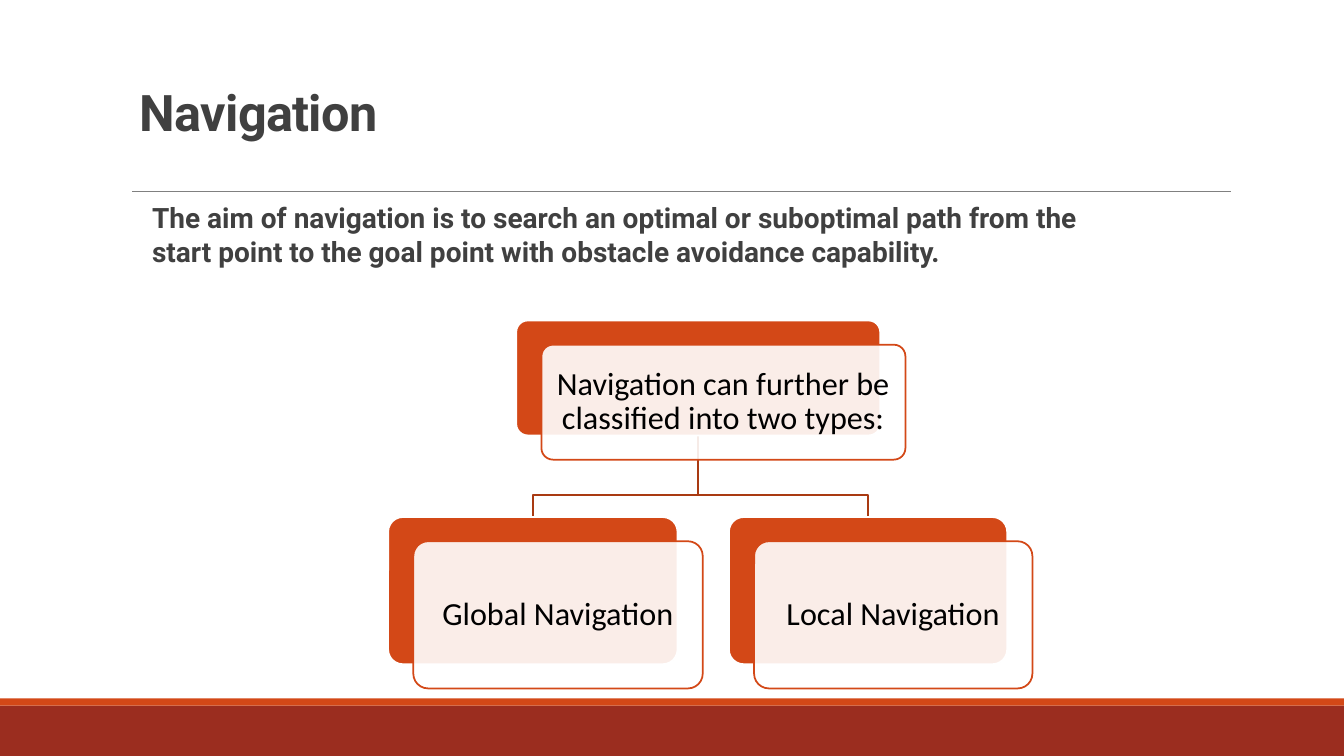
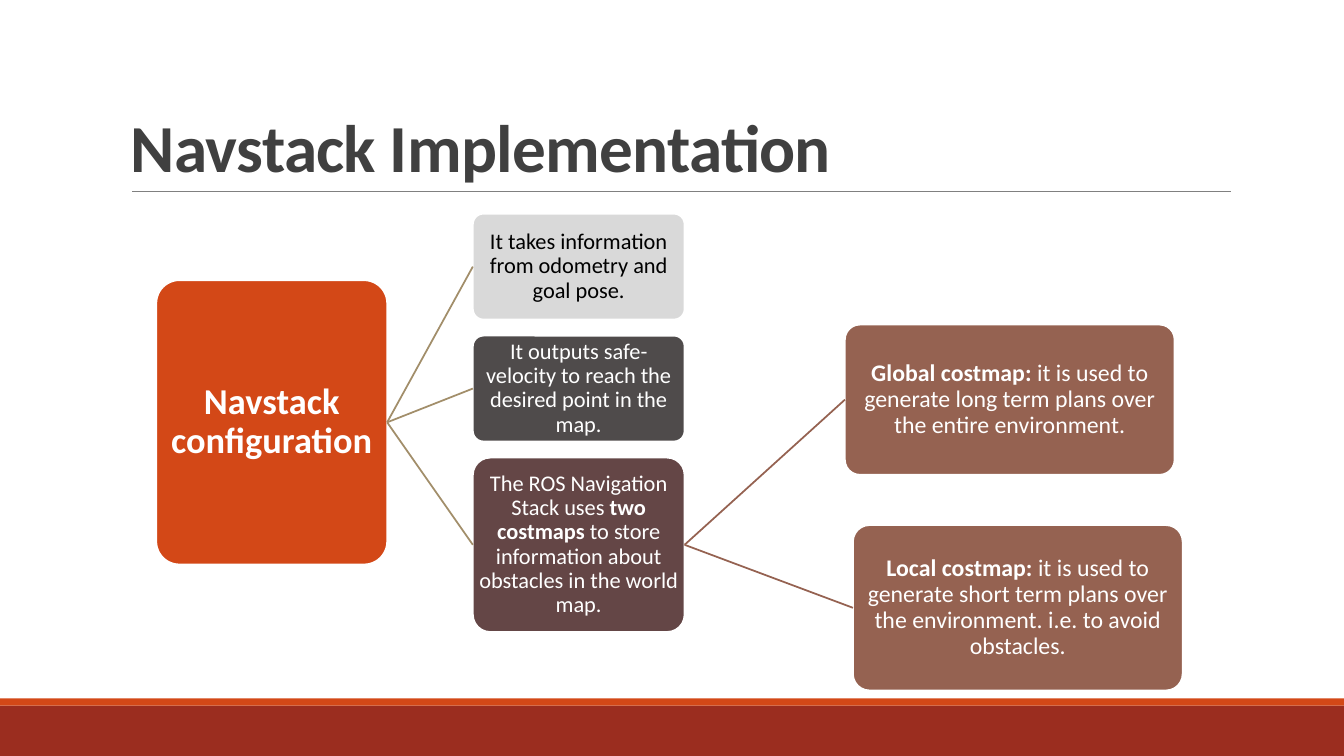
import pptx
import pptx.dml.color
import pptx.enum.shapes
import pptx.enum.text
import pptx.oxml.ns
import pptx.util
from lxml import etree
from pptx.util import Inches

COLORS = {
    "band": "9B2D1F", "accent": "D34817", "rule": "808080", "heading": "404040",
    "white": "FFFFFF", "black": "000000", "elbow": "A93A12", "branch": "A28E6A",
    "light": "D9D9D9", "dark": "4F4B4B", "plum": "644646", "brown": "956251",
}
SHAPE = pptx.enum.shapes.MSO_SHAPE
ANCHOR = pptx.enum.text.MSO_ANCHOR
ALIGN = pptx.enum.text.PP_ALIGN
LEFT, RIGHT = 1, 3


def color(name):
    return pptx.dml.color.RGBColor.from_string(COLORS[name])


def add_xml(parent, tag, **attributes):
    return etree.SubElement(parent, pptx.oxml.ns.qn(tag), attributes)


class Deck:
    """Holds the presentation, its style and the current slide."""

    def __init__(self):
        self.presentation = pptx.Presentation()
        self.presentation.slide_width = Inches(13.33)
        self.presentation.slide_height = Inches(7.5)
        self.slide = None

    def new_slide(self):
        """Start a slide with the shared bands and title rule."""
        self.slide = self.presentation.slides.add_slide(self.presentation.slide_layouts[6])
        self.box(0, 7, 13.33, 0.5, "band", shape_type=SHAPE.RECTANGLE, line=None)
        self.box(0, 6.93, 13.33, 0.07, "accent", shape_type=SHAPE.RECTANGLE, line=None)
        rule = self.slide.shapes.add_connector(
            pptx.enum.shapes.MSO_CONNECTOR.STRAIGHT,
            Inches(1.31), Inches(1.9), Inches(12.21), Inches(1.9))
        self.style_connector(rule, "rule", 0.5)

    def style_connector(self, connector, line, width=1.25):
        connector.line.color.rgb = color(line)
        connector.line.width = pptx.util.Pt(width)
        add_xml(connector._element.spPr, "a:effectLst")

    def set_text(self, shape, runs, size, text_color, font="Calibri", anchor=ANCHOR.MIDDLE,
                 align=ALIGN.CENTER, spacing=0.9, inset=None):
        """Fill a shape with one paragraph; runs is a list of (text, bold)."""
        frame = shape.text_frame
        frame.word_wrap = True
        frame.vertical_anchor = anchor
        if inset is not None:
            frame.margin_left = frame.margin_right = Inches(inset)
            frame.margin_top = frame.margin_bottom = Inches(inset)
        paragraph = frame.paragraphs[0]
        paragraph.alignment = align
        paragraph.line_spacing = spacing
        for text, bold in runs:
            run = paragraph.add_run()
            run.text = text
            run.font.name = font
            run.font.size = pptx.util.Pt(size)
            run.font.bold = bold
            run.font.color.rgb = color(text_color)
        return paragraph

    def text(self, left, top, width, height, text, size, font,
             anchor=ANCHOR.TOP, spacing=1.0):
        """Bold left-aligned text in the heading colour."""
        text_box = self.slide.shapes.add_textbox(
            Inches(left), Inches(top), Inches(width), Inches(height))
        return self.set_text(text_box, [(text, True)], size, "heading", font,
                             anchor, ALIGN.LEFT, spacing)

    def title(self, left, top, width, height, text, size, font, anchor):
        paragraph = self.text(left, top, width, height, text, size, font, anchor, 0.85)
        paragraph.runs[0].font._element.set("spc", "-50")

    def box(self, left, top, width, height, fill, line="white",
            shape_type=SHAPE.ROUNDED_RECTANGLE, alpha=None):
        shape = self.slide.shapes.add_shape(
            shape_type, Inches(left), Inches(top), Inches(width), Inches(height))
        shape.shadow.inherit = False
        shape.fill.solid()
        shape.fill.fore_color.rgb = color(fill)
        if alpha:
            fill_color = shape._element.spPr.find(".//" + pptx.oxml.ns.qn("a:srgbClr"))
            add_xml(fill_color, "a:alpha", val=str(alpha * 1000))
        if line:
            shape.line.color.rgb = color(line)
            shape.line.width = pptx.util.Pt(1.25)
        else:
            shape.line.fill.background()
        if shape_type == SHAPE.ROUNDED_RECTANGLE:
            shape.adjustments[0] = 0.1
        return shape

    def layered_card(self, left, top, width, height, text):
        """A filled box with a translucent text box set off over it."""
        self.box(left, top, width, height, "accent")
        front = self.box(left + 0.25, top + 0.24, width, height, "white", "accent", alpha=90)
        self.set_text(front, [(text, False)], 23, "black", inset=0.1)

    def elbow(self, x, y, middle_y, end_x, end_y):
        """An open line going down, across and down."""
        builder = self.slide.shapes.build_freeform(Inches(x), Inches(y))
        corners = [(x, middle_y), (end_x, middle_y), (end_x, end_y)]
        builder.add_line_segments(
            [(Inches(corner_x), Inches(corner_y)) for corner_x, corner_y in corners], close=False)
        shape = builder.convert_to_shape()
        shape.shadow.inherit = False
        shape.fill.background()
        shape.line.color.rgb = color("elbow")
        shape.line.width = pptx.util.Pt(1.25)

    def node(self, left, top, width, height, fill, runs, size, text_color="white"):
        shape = self.box(left, top, width, height, fill)
        self.set_text(shape, runs, size, text_color, inset=0.01)
        return shape

    def join(self, parent, child, line):
        """A straight line from the parent's right side to the child's left side."""
        connector = self.slide.shapes.add_connector(
            pptx.enum.shapes.MSO_CONNECTOR.STRAIGHT, 0, 0, 0, 0)
        connector.begin_connect(parent, RIGHT)
        connector.end_connect(child, LEFT)
        self.style_connector(connector, line)


def build_navigation(deck):
    deck.new_slide()
    deck.title(1.29, 0.45, 10.3, 1.4, "Navigation", 36, "Roboto", ANCHOR.MIDDLE)
    deck.text(1.41, 1.94, 9.9, 1.7,
              "The aim of navigation is to search an optimal or suboptimal path from the "
              "start point to the goal point with obstacle avoidance capability.", 20, "Roboto")

    # Hierarchy: lines first, so that the cards lie over them
    types = [(3.85, 2.87, "Global Navigation"), (7.23, 2.76, "Local Navigation")]
    for left, width, _ in types:
        deck.elbow(6.92, 4.32, 4.91, left + width / 2, 5.13)
    deck.layered_card(5.12, 3.18, 3.61, 1.14,
                      "Navigation can further be classified into two types:")
    for left, width, text in types:
        deck.layered_card(left, 5.13, width, 1.46, text)


def build_navstack(deck):
    deck.new_slide()
    deck.title(1.2, 0.31, 11, 1.59, "Navstack Implementation", 48, "Calibri", ANCHOR.BOTTOM)

    # Root and its three branches
    root = deck.node(1.55, 2.78, 2.29, 2.82, "accent", [("Navstack configuration", True)], 26)
    branches = [
        (1.05, "light", "black", [("It takes information from odometry and goal pose.", False)]),
        (1.05, "dark", "white",
         [("It outputs safe-velocity to reach the desired point in the map.", False)]),
        (1.73, "plum", "white",
         [("The ROS Navigation Stack uses ", False), ("two costmaps", True),
          (" to store information about obstacles in the world map.", False)]),
    ]
    top = 2.12
    for height, fill, text_color, runs in branches:
        branch = deck.node(4.69, top, 2.1, height, fill, runs, 16, text_color)
        deck.join(root, branch, "branch")
        top += height + 0.16

    # The two costmaps hang on the last branch
    costmaps = [
        (8.38, 3.22, 1.49, "Global costmap:",
         " it is used to generate long term plans over the entire environment."),
        (8.46, 5.21, 1.64, "Local costmap:",
         " it is used to generate short term plans over the environment. "
         "i.e. to avoid obstacles."),
    ]
    for left, top, height, name, use in costmaps:
        costmap = deck.node(left, top, 3.27, height, "brown", [(name, True), (use, False)], 17)
        deck.join(branch, costmap, "brown")


def main():
    deck = Deck()
    build_navigation(deck)
    build_navstack(deck)
    deck.presentation.save("out.pptx")


if __name__ == "__main__":
    main()
